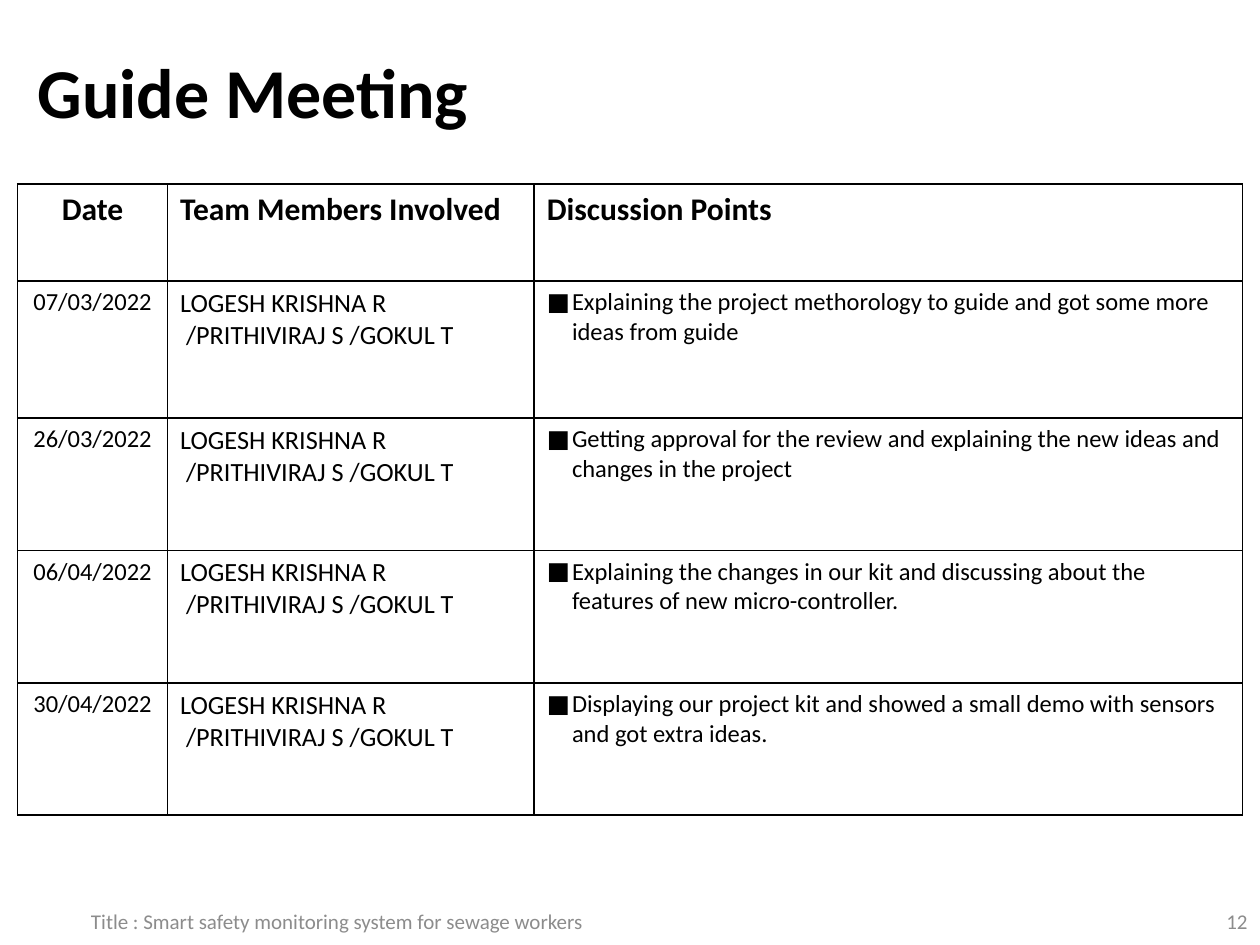
from dataclasses import dataclass

from lxml.etree import SubElement
from pptx import Presentation
from pptx.dml.color import RGBColor
from pptx.enum.text import MSO_ANCHOR as Anchor, PP_ALIGN as Align
from pptx.oxml import parse_xml
from pptx.oxml.ns import nsdecls, qn
from pptx.util import Inches, Pt

COLUMNS, ROWS = 100, 75
CELL = Inches(0.1)


@dataclass(frozen=True)
class Theme:
    font: str = "Calibri"
    ink: str = "000000"
    muted: str = "8C8C8C"
    paper: str = "FFFFFF"
    title: int = 40
    heading: int = 18
    member: int = 15
    body: int = 14
    small: int = 12
    border: int = 1


THEME = Theme()
HEADINGS = ("Date", "Team Members Involved", "Discussion Points")
MEMBERS = ("LOGESH KRISHNA R", " /PRITHIVIRAJ S /GOKUL T")
MEETINGS = (
    ("07/03/2022", "Explaining the project methorology to guide and got some more ideas from guide"),
    ("26/03/2022", "Getting approval for the review and explaining the new ideas and changes in the project"),
    ("06/04/2022", "Explaining the changes in our kit and discussing about the features of new micro-controller."),
    ("30/04/2022", "Displaying our project kit and showed a small demo with sensors and got extra ideas."),
)
COLUMN_SPANS = (11.9, 29.1, 56.2)
ROW_SPANS = (7.7, 10.9, 10.5, 10.5, 10.5)


def span(cells):
    return round(cells * CELL)


def write(frame, lines, size, color=THEME.ink, bold=False, align=Align.LEFT):
    frame.word_wrap = True
    for index, line in enumerate(lines):
        paragraph = frame.add_paragraph() if index else frame.paragraphs[0]
        paragraph.alignment = align
        run = paragraph.add_run()
        run.text = line
        formats = {"name": THEME.font, "size": Pt(size), "bold": bold}
        for attribute, value in formats.items():
            setattr(run.font, attribute, value)
        run.font.color.rgb = RGBColor.from_string(color)


def add_label(slide, box, text, **formats):
    frame = slide.shapes.add_textbox(*map(span, box)).text_frame
    frame.vertical_anchor = Anchor.MIDDLE
    write(frame, [text], **formats)


def add_bullet(paragraph):
    properties = paragraph._p.get_or_add_pPr()
    indent = span(2)
    properties.set("marL", str(indent))
    properties.set("indent", str(-indent))
    SubElement(properties, qn("a:buSzPts"), val=str(THEME.small * 100))
    SubElement(properties, qn("a:buFont"), typeface=THEME.font)
    SubElement(properties, qn("a:buChar"), char="■")


def style_cell(cell):
    cell.fill.solid()
    cell.fill.fore_color.rgb = RGBColor.from_string(THEME.paper)
    properties = cell._tc.get_or_add_tcPr()
    for position, side in enumerate(("lnL", "lnR", "lnT", "lnB")):
        properties.insert(position, parse_xml(
            f'<a:{side} {nsdecls("a")} w="{Pt(THEME.border)}"><a:solidFill>'
            f'<a:srgbClr val="{THEME.ink}"/></a:solidFill></a:{side}>'))


def add_meetings(slide, box):
    shape = slide.shapes.add_table(len(ROW_SPANS), len(COLUMN_SPANS), *map(span, box))
    table = shape.table
    table.first_row = table.horz_banding = False
    for column, width in zip(table.columns, COLUMN_SPANS):
        column.width = span(width)
    for row, height in zip(table.rows, ROW_SPANS):
        row.height = span(height)
    for cell in table.iter_cells():
        style_cell(cell)

    aligns = (Align.CENTER, Align.LEFT, Align.LEFT)
    for cell, heading, align in zip(table.rows[0].cells, HEADINGS, aligns):
        write(cell.text_frame, [heading], THEME.heading, bold=True, align=align)
    for index, (date, discussion) in enumerate(MEETINGS, start=1):
        date_cell, members_cell, discussion_cell = table.rows[index].cells
        write(date_cell.text_frame, [date], THEME.body, align=Align.CENTER)
        write(members_cell.text_frame, MEMBERS, THEME.member)
        write(discussion_cell.text_frame, [discussion], THEME.body)
        add_bullet(discussion_cell.text_frame.paragraphs[0])


def add_footer(slide, box):
    left, top, width, height = box
    number_width = 23.3
    muted = {"size": THEME.small, "color": THEME.muted}
    add_label(slide, (left, top, 53.5, height),
              "Title : Smart safety monitoring system for sewage workers",
              align=Align.CENTER, **muted)
    add_label(slide, (left + width - number_width, top, number_width, height),
              "12", align=Align.RIGHT, **muted)


def main():
    presentation = Presentation()
    presentation.slide_width = span(COLUMNS)
    presentation.slide_height = span(ROWS)
    slide = presentation.slides.add_slide(presentation.slide_layouts[6])
    add_label(slide, (2, 2.1, 90, 10.2), "Guide Meeting", size=THEME.title, bold=True)
    add_meetings(slide, (1.4, 14.6, sum(COLUMN_SPANS), sum(ROW_SPANS)))
    add_footer(slide, (0, 71.1, COLUMNS, 4))
    presentation.save("out.pptx")


if __name__ == "__main__":
    main()
